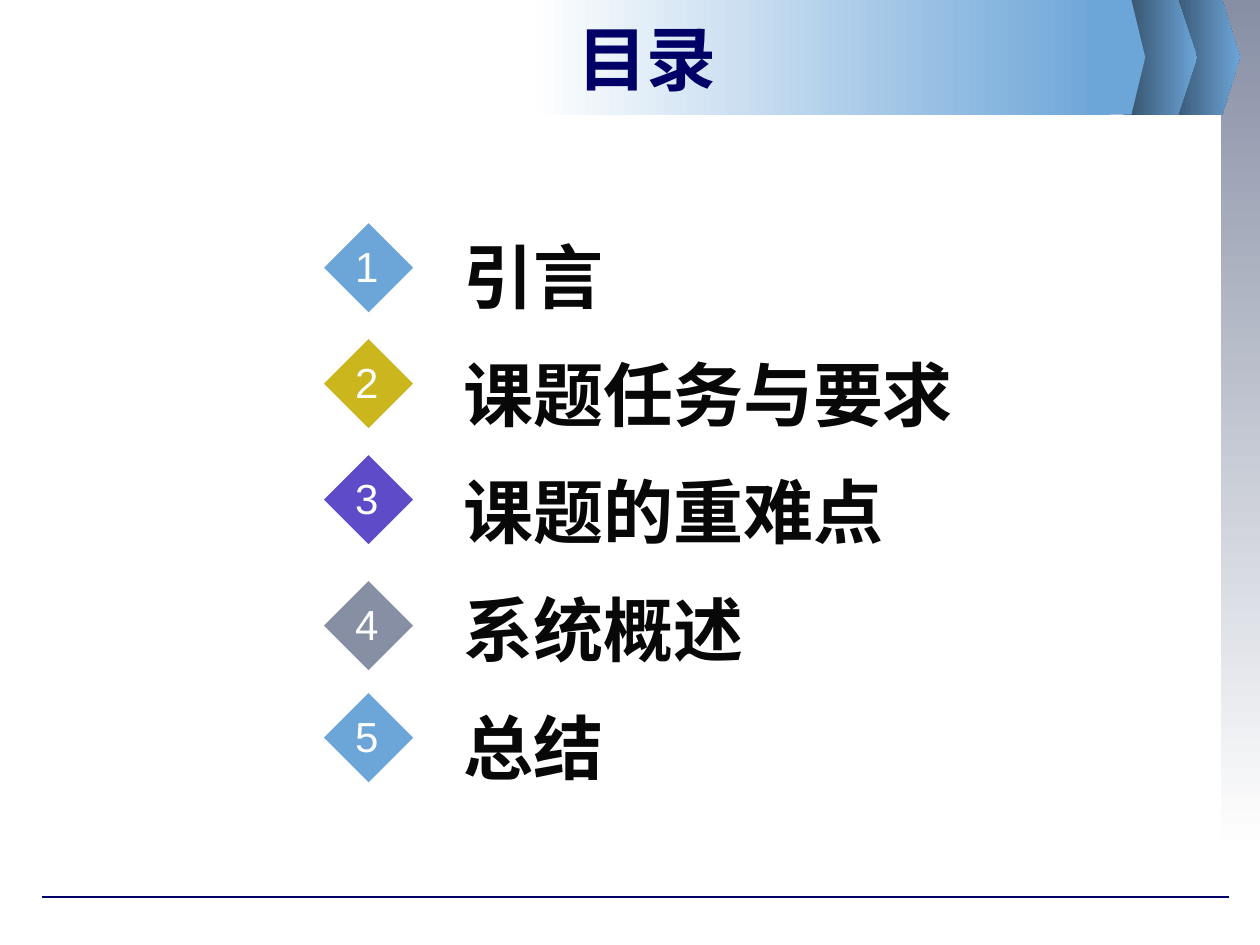
from pptx import Presentation
from pptx.dml.color import RGBColor
from pptx.enum.shapes import MSO_CONNECTOR, MSO_SHAPE as Shape
from pptx.enum.text import MSO_ANCHOR, MSO_AUTO_SIZE, PP_ALIGN as Align
from pptx.util import Inches, Pt
from lxml.etree import SubElement
from pptx.oxml.ns import qn

WHITE = RGBColor(0xFF, 0xFF, 0xFF)
SOFT_WHITE = RGBColor(0xFE, 0xFE, 0xFE)
NAVY = RGBColor(0x00, 0x00, 0x66)
INK = RGBColor(0x08, 0x08, 0x08)
SKY = RGBColor(0x6C, 0xA5, 0xD8)
DEEP_SKY = RGBColor(0x32, 0x4C, 0x64)
GOLD = RGBColor(0xCB, 0xB6, 0x1D)
VIOLET = RGBColor(0x5D, 0x4B, 0xC7)
SLATE = RGBColor(0x87, 0x8F, 0xA5)

TITLE = "目录"
AGENDA = [
    ("引言", SKY, 1.75),
    ("课题任务与要求", GOLD, 2.67),
    ("课题的重难点", VIOLET, 3.59),
    ("系统概述", SLATE, 4.59),
    ("总结", SKY, 5.48),
]
CHEVRONS = [(9.25, 9.7, 9.84), (8.91, 9.35, 9.5)]
BANNER_CAP = (8.63, 8.98, 9.09)
BANNER_HEIGHT = 0.91
DIAMOND_LEFT, DIAMOND_SIZE = 2.55, 0.75
NUMBER_LEFT, NUMBER_DROP = 2.72, 0.11
RIGHTWARD, DOWNWARD = 0, 270

deck = Presentation()
deck.slide_width, deck.slide_height = Inches(10), Inches(7.5)
page = deck.slides.add_slide(deck.slide_layouts[6])


def fill_gradient(shape, start, end, angle):
    shape.fill.gradient()
    shape.fill.gradient_angle = angle
    for stop, color in zip(shape.fill.gradient_stops, (start, end)):
        stop.color.rgb = color


def fill_solid(shape, color):
    shape.fill.solid()
    shape.fill.fore_color.rgb = color


def add_preset(kind, *area):
    shape = page.shapes.add_shape(kind, *map(Inches, area))
    shape.shadow.inherit = False
    shape.line.fill.background()
    return shape


def add_arrow_block(left, shoulder, tip):
    outline = [(shoulder, 0), (tip, BANNER_HEIGHT / 2),
               (shoulder, BANNER_HEIGHT), (left, BANNER_HEIGHT)]
    builder = page.shapes.build_freeform(Inches(left), 0)
    builder.add_line_segments([(Inches(x), Inches(y)) for x, y in outline])
    shape = builder.convert_to_shape()
    shape.shadow.inherit = False
    shape.line.fill.background()
    return shape


def add_text(area, lines, size, font, color, bold=False, align=Align.LEFT,
             spacing=None, wrap=True):
    box = page.shapes.add_textbox(*map(Inches, area))
    frame = box.text_frame
    frame.word_wrap = wrap
    frame.text = "\n".join(lines)
    for para in frame.paragraphs:
        para.alignment = align
        para.line_spacing = spacing
        para.font.size, para.font.name = Pt(size), font
        para.font.bold, para.font.color.rgb = bold, color
    return frame


side_band = add_preset(Shape.RECTANGLE, 9.69, 0, 0.31, 6.77)
fill_gradient(side_band, SLATE, WHITE, DOWNWARD)

footer_rule = page.shapes.add_connector(
    MSO_CONNECTOR.STRAIGHT, *map(Inches, (0.33, 7.12, 9.75, 7.12)))
footer_rule.line.color.rgb = NAVY
footer_rule.line.width = Pt(0.75)
SubElement(footer_rule._element.spPr, qn("a:effectLst"))

for chevron in CHEVRONS:
    fill_gradient(add_arrow_block(*chevron), DEEP_SKY, SKY, RIGHTWARD)
banner = add_preset(Shape.RECTANGLE, 4.21, 0, 4.6, BANNER_HEIGHT)
fill_gradient(banner, WHITE, SKY, RIGHTWARD)
fill_solid(add_arrow_block(*BANNER_CAP), SKY)

title = add_text((1.22, 0.13, 7.83, 0.65), [TITLE], 40, "Times New Roman", NAVY,
                 bold=True, align=Align.CENTER)
title.vertical_anchor = MSO_ANCHOR.MIDDLE

topics = add_text((3.58, 1.54, 5.04, 4.77), [topic for topic, _, _ in AGENDA], 40,
                  "Times New Roman", INK, bold=True, spacing=1.4)
topics.auto_size = MSO_AUTO_SIZE.SHAPE_TO_FIT_TEXT

for number, (_, color, top) in enumerate(AGENDA, 1):
    diamond = add_preset(Shape.DIAMOND, DIAMOND_LEFT, top, DIAMOND_SIZE, DIAMOND_SIZE)
    fill_solid(diamond, color)
    diamond.line.color.rgb = SOFT_WHITE
    diamond.line.width = Pt(2)
    label = add_text((NUMBER_LEFT, top + NUMBER_DROP, 0.38, 0.5), [str(number)], 24,
                     "Arial", SOFT_WHITE, align=Align.CENTER, wrap=False)
    label.auto_size = MSO_AUTO_SIZE.SHAPE_TO_FIT_TEXT

deck.save("out.pptx")
